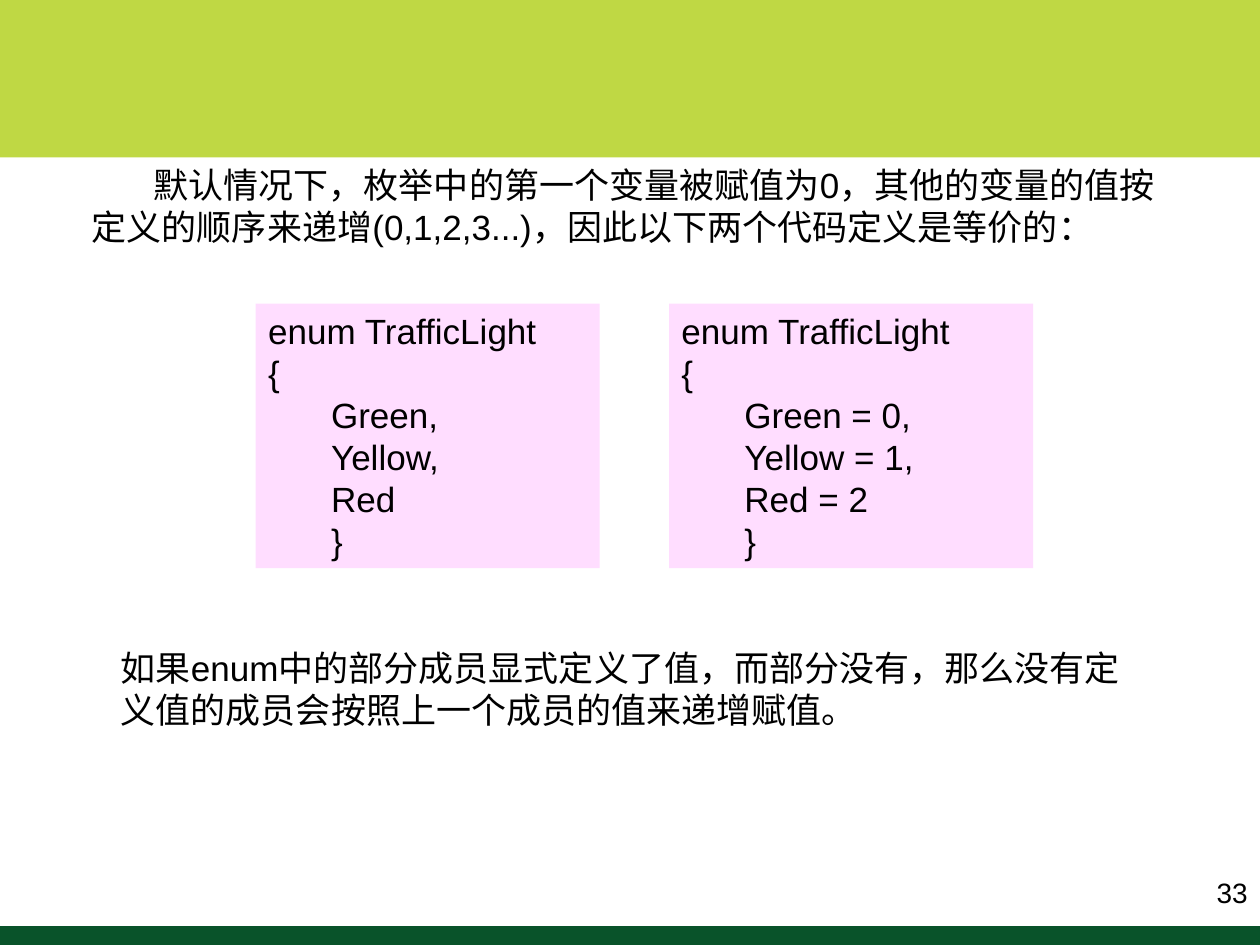
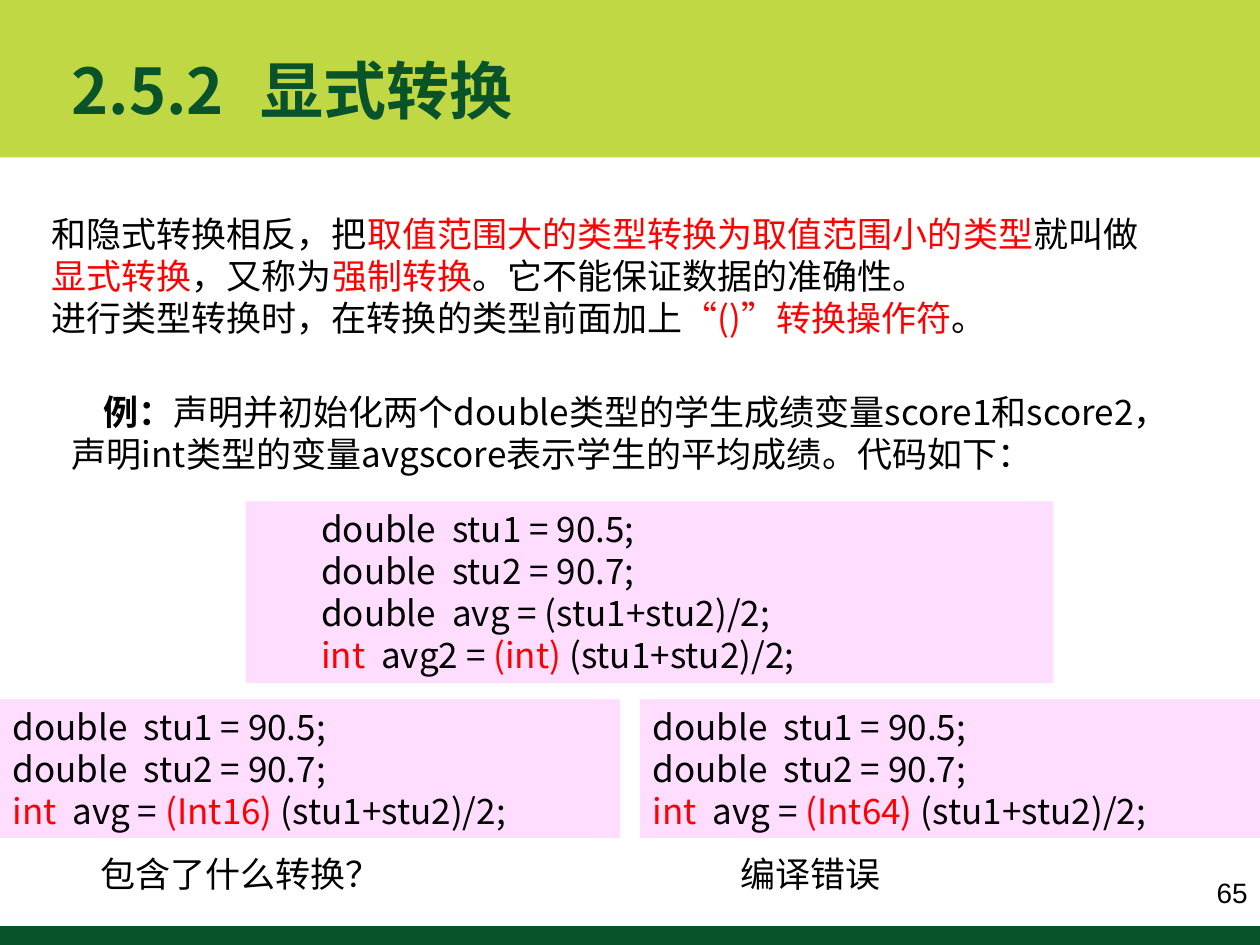
from dataclasses import dataclass

from lxml.etree import SubElement
from pptx import Presentation
from pptx.dml.color import RGBColor
from pptx.enum.shapes import MSO_SHAPE as Preset
from pptx.enum.text import MSO_ANCHOR as Anchor, PP_ALIGN as Align
from pptx.oxml.ns import qn
from pptx.util import Inches, Pt

LIME = RGBColor(0xBF, 0xD8, 0x44)
FOREST = RGBColor(0x09, 0x53, 0x2A)
PINK = RGBColor(0xFF, 0xDD, 0xFF)
BLACK = RGBColor(0, 0, 0)
RED = RGBColor(0xFF, 0, 0)
LATIN, HAN = "Arial", "Noto Sans CJK SC"
COLUMNS, ROWS = 100, 75
CELL = Inches(0.1)
BODY_SIZE, BODY_PITCH = 20, 24
CODE_INDENT = 5


@dataclass
class Box:
    """A rectangle in grid columns and rows."""
    left: float
    top: float
    width: float
    height: float

    def inner(self, left, top, width, height):
        """Return a box placed relative to this one."""
        return Box(self.left + left, self.top + top, width, height)

    def emu(self):
        """Return left, top, width and height as slide lengths."""
        return [round(n * CELL) for n in (self.left, self.top, self.width, self.height)]


@dataclass
class Piece:
    """A stretch of text with its own emphasis."""
    text: str
    color: RGBColor = BLACK
    bold: bool = False


@dataclass
class Line:
    """A paragraph made of pieces, with its indents in columns."""
    pieces: list
    margin: float = 0
    first: float = 0
    tab: float = 0


def red(text):
    """Return a highlighted piece."""
    return Piece(text, RED)


def write(frame, lines, font=LATIN, size=BODY_SIZE, pitch=BODY_PITCH, align=Align.LEFT):
    """Write the lines into a text frame, run by run."""
    frame.word_wrap = True
    for index, line in enumerate(lines):
        paragraph = frame.paragraphs[0] if index == 0 else frame.add_paragraph()
        paragraph.alignment = align
        if pitch:
            paragraph.line_spacing = Pt(pitch)
        properties = paragraph._p.get_or_add_pPr()
        properties.set("marL", str(round(line.margin * CELL)))
        properties.set("indent", str(round(line.first * CELL)))
        if line.tab:
            stops = SubElement(properties, qn("a:tabLst"))
            SubElement(stops, qn("a:tab"), pos=str(round(line.tab * CELL)), algn="l")
        for piece in line.pieces:
            piece = Piece(piece) if isinstance(piece, str) else piece
            run = paragraph.add_run()
            run.text = piece.text
            run.font.name = font
            run.font.size = Pt(size)
            run.font.bold = piece.bold
            run.font.color.rgb = piece.color
            SubElement(run._r.get_or_add_rPr(), qn("a:ea"), typeface=HAN)


def band(slide, box, color):
    """Add a plain filled rectangle."""
    shape = slide.shapes.add_shape(Preset.RECTANGLE, *box.emu())
    shape.shadow.inherit = False
    shape.fill.solid()
    shape.fill.fore_color.rgb = color
    shape.line.fill.background()
    return shape


def passage(slide, box, lines, anchor=Anchor.TOP, **style):
    """Add a text block."""
    frame = slide.shapes.add_textbox(*box.emu()).text_frame
    frame.vertical_anchor = anchor
    write(frame, lines, **style)


def code_panel(slide, box, lines, font=LATIN):
    """Add code on a pink ground."""
    frame = band(slide, box, PINK).text_frame
    frame.vertical_anchor = Anchor.TOP
    write(frame, lines, font)


def quiz(slide, box, target, caption, caption_width):
    """Add a cast example with its caption below."""
    code_panel(slide, box.inner(0, 0, box.width, 11),
               [Line(pieces) for pieces in cast_code("avg", target)], HAN)
    passage(slide, box.inner(7, 11.7, caption_width, 4.4), [Line([caption])])


def cast_code(result, target, *middle):
    """Return the pieces of each line of a cast example."""
    scores = [[f"double  stu{n} = {value};"] for n, value in ((1, 90.5), (2, 90.7))]
    cast = [red("int"), f"  {result} = ", red(f"({target}) "), "(stu1+stu2)/2;"]
    return [*scores, *middle, cast]


def enum_code(members):
    """Return the lines of the enum with the given members."""
    opening = [Line(["enum TrafficLight"]), Line(["{"])]
    return opening + [Line([text], CODE_INDENT) for text in (*members, "}")]


def base_slide(deck, number):
    """Add a slide with its bands and page number."""
    slide = deck.slides.add_slide(deck.slide_layouts[6])
    band(slide, Box(0, 0, COLUMNS, 12.5), LIME)
    band(slide, Box(0, ROWS - 1.5, COLUMNS, 1.5), FOREST)
    passage(slide, Box(COLUMNS - 7.5, 69, 7.5, 3.7), [Line([number])],
            size=16, pitch=None, align=Align.RIGHT)
    return slide


def title(slide, box, number, heading):
    """Add the section number and heading."""
    passage(slide, box, [Line([Piece(f"{number}\t{heading}", FOREST, True)], tab=15.5)],
            Anchor.MIDDLE, font=HAN, size=36, pitch=None)


def enum_slide(deck):
    """Build the slide on default enum values."""
    slide = base_slide(deck, "33")
    passage(slide, Box(6.3, 12.5, 87.5, 11), [Line([
        "默认情况下，枚举中的第一个变量被赋值为0，其他的变量的值按定义的顺序来递增"
        "(0,1,2,3...)，因此以下两个代码定义是等价的："], first=4.9)])
    code_panel(slide, Box(20.3, 24.1, 27.3, 21), enum_code(["Green,", "Yellow,", "Red"]))
    code_panel(slide, Box(53.1, 24.1, 28.9, 21),
               enum_code(["Green = 0,", "Yellow = 1,", "Red = 2"]))
    passage(slide, Box(8.6, 50.8, 83.6, 7.7), [Line([
        "如果enum中的部分成员显式定义了值，而部分没有，"
        "那么没有定义值的成员会按照上一个成员的值来递增赋值。"])])


def cast_slide(deck):
    """Build the slide on explicit conversion."""
    slide = base_slide(deck, "65")
    title(slide, Box(4.7, 2.3, 74.2, 9.5), "2.5.2", "显式转换")
    passage(slide, Box(3.1, 16.4, 89.1, 11), [
        Line(["和隐式转换相反，把", red("取值范围大的类型转换为取值范围小的类型"), "就叫做",
              red("显式转换"), "，又称为", red("强制转换"), "。它不能保证数据的准确性。"]),
        Line(["进行类型转换时，在转换的类型前面加上", red("“()”转换操作符"), "。"]),
    ], font=HAN)
    passage(slide, Box(4.7, 30.5, 89.1, 11), [Line([
        Piece("例：", bold=True),
        "声明并初始化两个double类型的学生成绩变量score1和score2，"
        "声明int类型的变量avgscore表示学生的平均成绩。代码如下："], first=2.5)], font=HAN)
    example = cast_code("avg2", "int", ["double  avg = (stu1+stu2)/2;"])
    code_panel(slide, Box(19.5, 39.8, 64.1, 14.4),
               [Line(pieces, CODE_INDENT) for pieces in example], HAN)
    width = 49.2
    quiz(slide, Box(0, 55.5, width, 16.1), "Int16", "包含了什么转换？", 35.9)
    quiz(slide, Box(COLUMNS - width, 55.5, width, 16.1), "Int64", "编译错误", 32)


def main():
    """Build and save the deck."""
    deck = Presentation()
    deck.slide_width, deck.slide_height = COLUMNS * CELL, ROWS * CELL
    enum_slide(deck)
    cast_slide(deck)
    deck.save("out.pptx")


if __name__ == "__main__":
    main()
